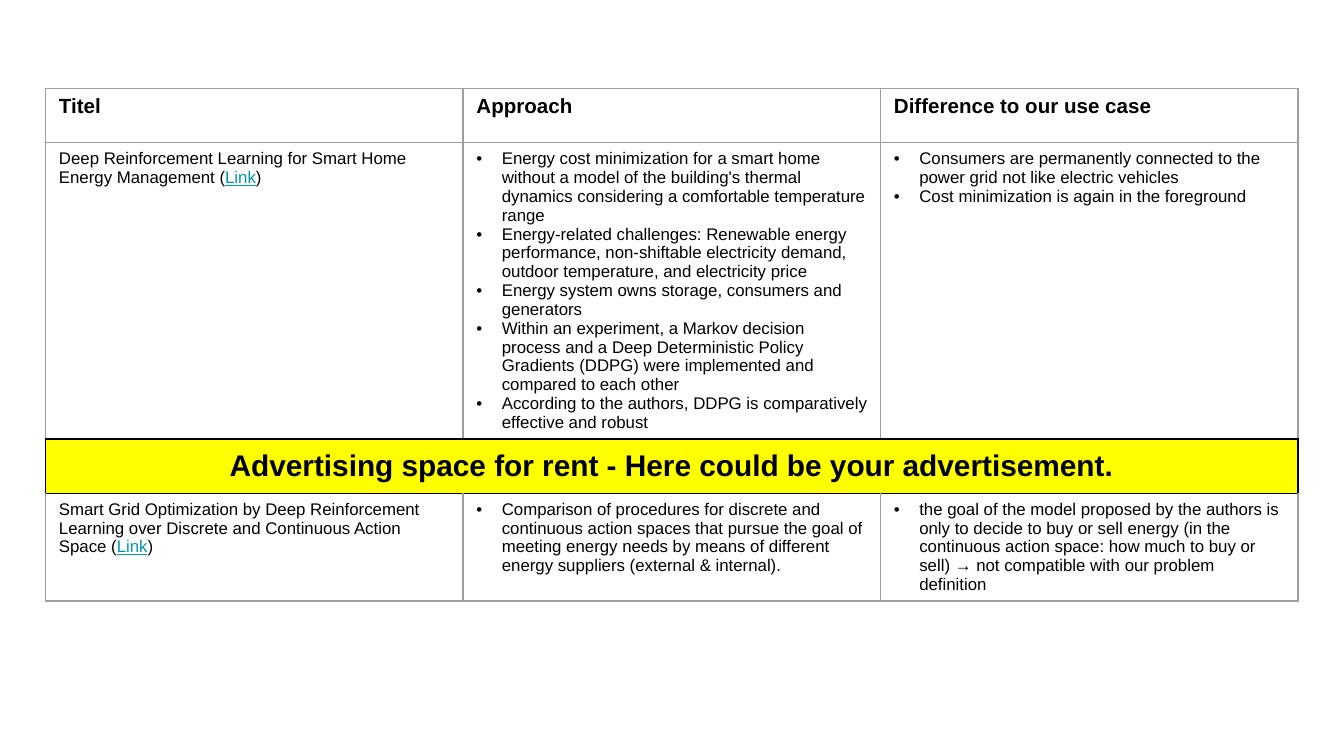
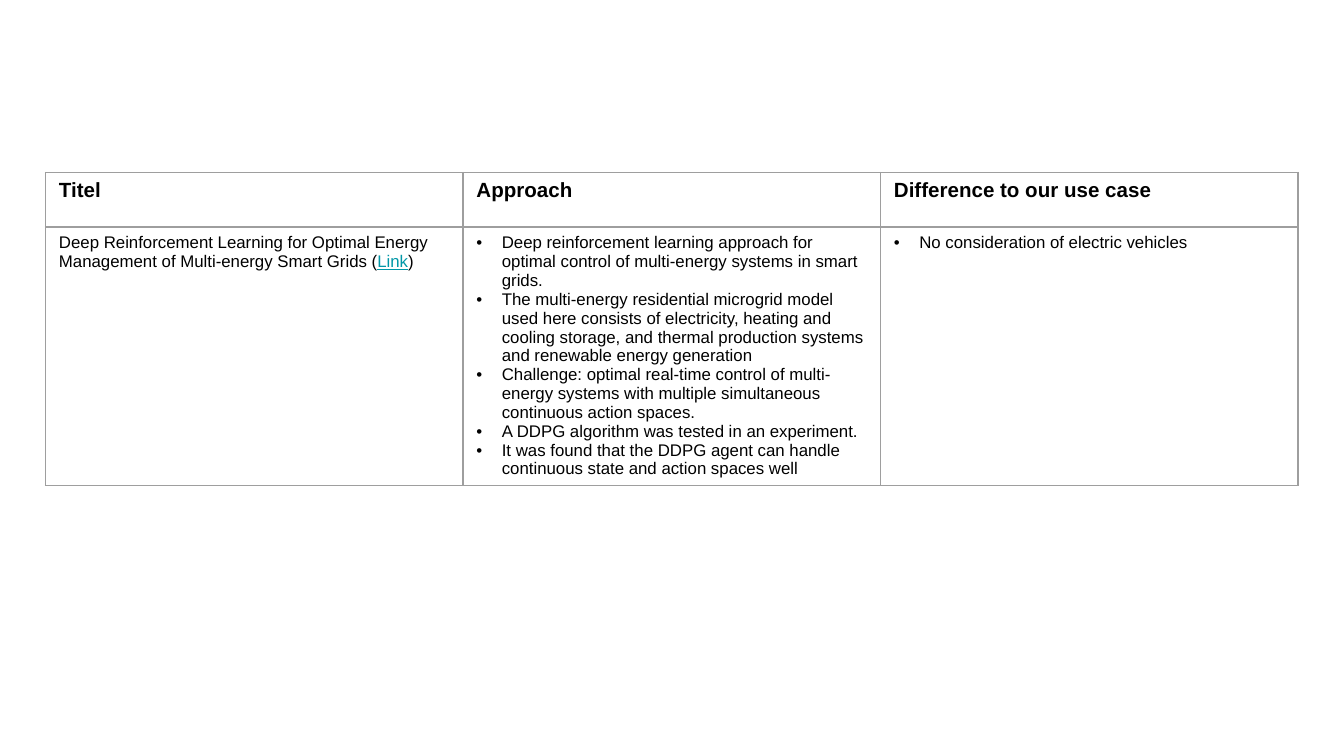
"""Builds two slides that compare related work on energy management."""
from lxml.etree import SubElement
from pptx import Presentation
from pptx.dml.color import RGBColor
from pptx.enum.text import MSO_ANCHOR, PP_ALIGN
from pptx.oxml.ns import qn
from pptx.util import Cm, Pt

FONT = "Arial"
BLACK, GREY, TEAL, YELLOW = "000000", "9E9E9E", "0097A7", "FFFF00"
HEADINGS = ["Titel", "Approach", "Difference to our use case"]
ADVERT = "Advertising space for rent - Here could be your advertisement."

SMART_HOME = (
    "Deep Reinforcement Learning for Smart Home Energy Management",
    [
        "Energy cost minimization for a smart home without a model of the building's "
        "thermal dynamics considering a comfortable temperature range",
        "Energy-related challenges: Renewable energy performance, non-shiftable "
        "electricity demand, outdoor temperature, and electricity price",
        "Energy system owns storage, consumers and generators",
        "Within an experiment, a Markov decision process and a Deep Deterministic Policy "
        "Gradients (DDPG) were implemented and compared to each other",
        "According to the authors, DDPG is comparatively effective and robust",
    ],
    [
        "Consumers are permanently connected to the power grid not like electric vehicles",
        "Cost minimization is again in the foreground",
    ],
)
SMART_GRID = (
    "Smart Grid Optimization by Deep Reinforcement Learning over Discrete and "
    "Continuous Action Space",
    [
        "Comparison of procedures for discrete and continuous action spaces that pursue "
        "the goal of meeting energy needs by means of different energy suppliers "
        "(external & internal).",
    ],
    [
        "the goal of the model proposed by the authors is only to decide to buy or sell "
        "energy (in the continuous action space: how much to buy or sell) → not "
        "compatible with our problem definition",
    ],
)
MULTI_ENERGY = (
    "Deep Reinforcement Learning for Optimal Energy Management of Multi-energy Smart Grids",
    [
        "Deep reinforcement learning approach for optimal control of multi-energy systems "
        "in smart grids.",
        "The multi-energy residential microgrid model used here consists of electricity, "
        "heating and cooling storage, and thermal production systems and renewable "
        "energy generation",
        "Challenge: optimal real-time control of multi-energy systems with multiple "
        "simultaneous continuous action spaces.",
        "A DDPG algorithm was tested in an experiment.",
        "It was found that the DDPG agent can handle continuous state and action spaces well",
    ],
    ["No consideration of electric vehicles"],
)
PAGES = [
    {"top": 1.67, "height": 10.19, "rows": [SMART_HOME, ADVERT, SMART_GRID]},
    {"top": 3.26, "height": 6.25, "rows": [MULTI_ENERGY]},
]

LEFT, COLUMN, ROW, INDENT = Cm(0.86), Cm(7.89), Cm(1.03), Cm(0.48)


def color(value):
    return RGBColor.from_string(value)


def style(para, size, bold=False):
    para.font.name, para.font.size, para.font.bold = FONT, Pt(size), bold
    para.font.color.rgb = color(BLACK)


def add_bullet(para):
    props = para._p.get_or_add_pPr()
    props.set("marL", str(INDENT))
    props.set("indent", str(-INDENT))
    tint = SubElement(props, qn("a:buClr"))
    SubElement(tint, qn("a:srgbClr"), val=BLACK)
    SubElement(props, qn("a:buFont"), typeface=FONT)
    SubElement(props, qn("a:buChar"), char="•")


def draw_borders(cell, black_sides):
    props = cell._tc.get_or_add_tcPr()
    for side in "LRTB":
        black = side in black_sides
        line = SubElement(props, qn(f"a:ln{side}"), w=str(Pt(1 if black else 0.75)))
        fill = SubElement(line, qn("a:solidFill"))
        SubElement(fill, qn("a:srgbClr"), val=BLACK if black else GREY)


def write_title(cell, title):
    para = cell.text_frame.paragraphs[0]
    style(para, 9)
    for text in (f"{title} (", "Link", ")"):
        span = para.add_run()
        span.text = text
        if text == "Link":
            span.font.color.rgb = color(TEAL)
            span.font.underline = True


def write_bullets(cell, items):
    cell.text_frame.text = "\n".join(items)
    for para in cell.text_frame.paragraphs:
        add_bullet(para)
        style(para, 9)


def write_advert(cells):
    cells[0].merge(cells[-1])
    cells[0].text = ADVERT
    cells[0].vertical_anchor = MSO_ANCHOR.MIDDLE
    cells[0].fill.solid()
    cells[0].fill.fore_color.rgb = color(YELLOW)
    para = cells[0].text_frame.paragraphs[0]
    para.alignment = PP_ALIGN.CENTER
    style(para, 16, bold=True)


def black_sides(rows, index):
    if rows[index] == ADVERT:
        return "LRTB"
    above = index > 0 and rows[index - 1] == ADVERT
    below = index + 1 < len(rows) and rows[index + 1] == ADVERT
    return "T" * above + "B" * below


def add_page(deck, top, height, rows):
    page = deck.slides.add_slide(deck.slide_layouts[6])
    rows = [HEADINGS] + rows
    count = len(HEADINGS)
    frame = page.shapes.add_table(
        len(rows), count, LEFT, Cm(top), COLUMN * count, ROW * len(rows))
    table = frame.table
    table.first_row = table.horz_banding = False
    for index, content in enumerate(rows):
        table.rows[index].height = ROW
        cells = [table.cell(index, column) for column in range(count)]
        for cell in cells:
            draw_borders(cell, black_sides(rows, index))
            cell.fill.background()
        if content == ADVERT:
            write_advert(cells)
        elif content == HEADINGS:
            for cell, heading in zip(cells, HEADINGS):
                cell.text = heading
                style(cell.text_frame.paragraphs[0], 11, bold=True)
        else:
            title, approach, difference = content
            write_title(cells[0], title)
            write_bullets(cells[1], approach)
            write_bullets(cells[2], difference)
    frame.height = Cm(height)


def main():
    deck = Presentation()
    deck.slide_width, deck.slide_height = Cm(25.4), Cm(14.29)
    for page in PAGES:
        add_page(deck, **page)
    deck.save("out.pptx")


if __name__ == "__main__":
    main()
